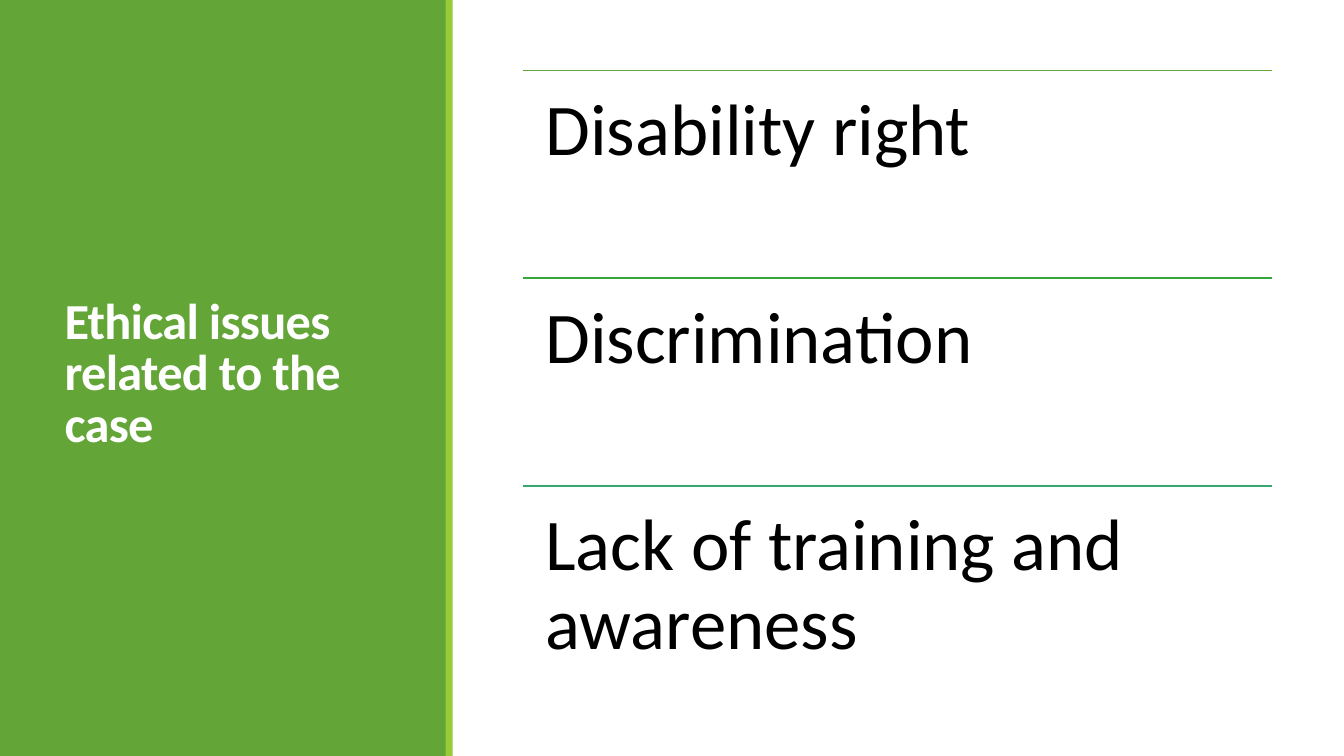
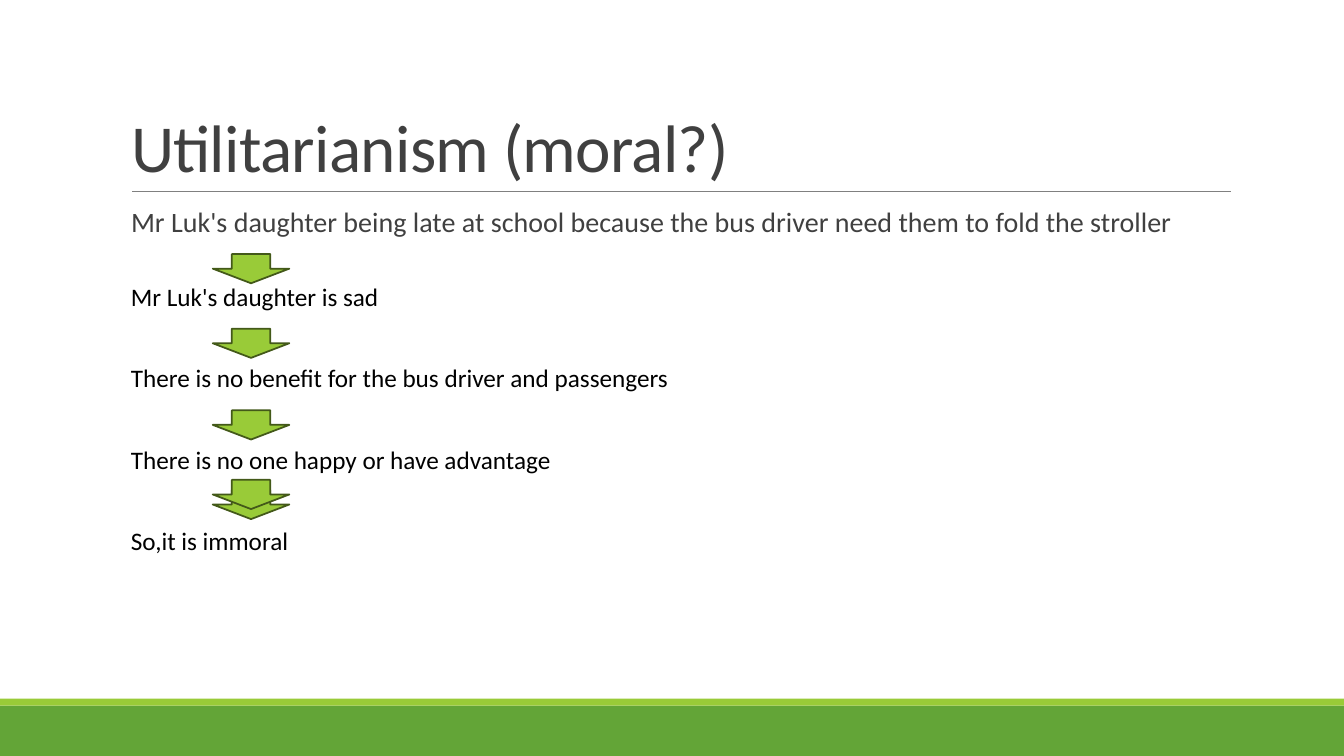
from pptx import Presentation, util as u
from pptx.dml.color import RGBColor
from pptx.enum import shapes, text
from pptx.oxml.ns import qn
from lxml import etree

GREEN, LIME, DARK_GREEN = "63A537", "99CB38", "435919"
BLACK, WHITE, TITLE_GRAY, RULE_GRAY = "000000", "FFFFFF", "404040", "808080"


def rgb(value):
    return RGBColor.from_string(value)


class Deck:
    """Holds the style and the current slide; lengths are percent of the slide."""

    FONT = "Calibri"
    TITLE_ONLY, TITLE_BODY = 5, 1

    def __init__(self):
        self.prs = Presentation()
        self.prs.slide_width = u.Inches(13.33)
        self.prs.slide_height = u.Inches(7.5)
        self.s = None

    def x(self, share):
        return int(self.prs.slide_width * share / 100)

    def y(self, share):
        return int(self.prs.slide_height * share / 100)

    def box(self, left, top, width, height):
        return self.x(left), self.y(top), self.x(width), self.y(height)

    def new_slide(self, layout):
        self.s = self.prs.slides.add_slide(self.prs.slide_layouts[layout])

    def shape(self, kind, area, fill, line=None):
        sp = self.s.shapes.add_shape(kind, *self.box(*area))
        sp.shadow.inherit = False
        sp.fill.solid()
        sp.fill.fore_color.rgb = rgb(fill)
        if line:
            sp.line.color.rgb = rgb(line)
            sp.line.width = u.Pt(1.25)
        else:
            sp.line.fill.background()
        return sp

    def bands(self, panel, stripe):
        """Green panel with a lime stripe, both behind the text."""
        for depth, (area, color) in enumerate(((panel, GREEN), (stripe, LIME))):
            sp = self.shape(shapes.MSO_SHAPE.RECTANGLE, area, color)
            self.s.shapes._spTree.insert(2 + depth, sp._element)

    def rule(self, left, right, top, color, width):
        line = self.s.shapes.add_connector(
            shapes.MSO_CONNECTOR.STRAIGHT,
            self.x(left), self.y(top), self.x(right), self.y(top))
        line.line.color.rgb = rgb(color)
        line.line.width = u.Pt(width)
        etree.SubElement(line._element.spPr, qn("a:effectLst"))

    def set_text(self, sp, words, size, color, spacing=1.0, bold=False,
                 anchor=text.MSO_ANCHOR.TOP, inset=(0.1, 0.05)):
        tf = sp.text_frame
        tf.text = words
        tf.word_wrap = True
        tf.auto_size = text.MSO_AUTO_SIZE.NONE
        tf.vertical_anchor = anchor
        tf.margin_left = tf.margin_right = u.Inches(inset[0])
        tf.margin_top = tf.margin_bottom = u.Inches(inset[1])
        p = tf.paragraphs[0]
        p.alignment = text.PP_ALIGN.LEFT
        p.line_spacing = spacing
        p.space_before = u.Pt(0)
        r = p.runs[0]
        r.font.name, r.font.size, r.font.bold = self.FONT, u.Pt(size), bold
        r.font.color.rgb = rgb(color)
        return p

    def place(self, sp, area):
        sp.left, sp.top, sp.width, sp.height = self.box(*area)

    def title(self, words, area, size, color, **style):
        sp = self.s.shapes.title
        self.place(sp, area)
        p = self.set_text(sp, words, size, color, spacing=0.85, **style)
        p.runs[0].font._element.set("spc", "-50")

    def body(self, words, area, size, color):
        sp = self.s.placeholders[1]
        self.place(sp, area)
        p = self.set_text(sp, words, size, color, spacing=0.9)
        pPr = p._p.get_or_add_pPr()
        pPr.set("marL", "0")
        pPr.set("indent", "0")
        etree.SubElement(pPr, qn("a:buNone"))

    def label(self, words, area, size, **style):
        sp = self.s.shapes.add_textbox(*self.box(*area))
        self.set_text(sp, words, size, BLACK, **style)


def issues_slide(deck):
    deck.new_slide(deck.TITLE_ONLY)
    deck.bands(panel=(0, 0, 33.2, 100), stripe=(33.15, 0, 0.53, 100))
    deck.title("Ethical issues related to the case", (4.05, 7.6, 25.28, 84.13),
               36, WHITE, bold=True, anchor=text.MSO_ANCHOR.MIDDLE)

    # Three equal rows, each under its own rule
    left, width, first, row = 38.93, 55.74, 9.33, 27.47
    issues = (("Disability right", GREEN),
              ("Discrimination", "37A63D"),
              ("Lack of training and awareness", "37A76F"))
    for i, (issue, color) in enumerate(issues):
        top = first + i * row
        deck.rule(left, left + width, top, color, 1.25)
        deck.label(issue, (left, top, width, row), 52,
                   spacing=0.9, inset=(0.22, 0.22))


def utilitarianism_slide(deck):
    deck.new_slide(deck.TITLE_BODY)
    deck.bands(panel=(0, 93.33, 100, 6.67), stripe=(0, 92.4, 100, 0.93))
    left, width = 9, 82.5
    deck.title("Utilitarianism (moral?)", (left, 4.13, width, 21.2), 48,
               TITLE_GRAY, anchor=text.MSO_ANCHOR.BOTTOM)
    deck.rule(9.83, 91.6, 25.33, RULE_GRAY, 0.5)
    deck.body("Mr Luk's daughter being late at school because the bus driver "
              "need them to fold the stroller",
              (left, 26.93, width, 14.93), 20, TITLE_GRAY)

    # Chain of consequences
    steps = ("Mr Luk's daughter is sad",
             "There is no benefit for the bus driver and passengers",
             "There is no one happy or have advantage",
             "So,it is immoral")
    for i, step in enumerate(steps):
        deck.label(step, (left, 36.53 + i * 10.77, 81, 5.33), 18)

    # Arrows between the steps; the last two overlap
    for top in (33.6, 43.47, 54.27, 64.8, 63.47):
        deck.shape(shapes.MSO_SHAPE.DOWN_ARROW, (15.83, top, 5.7, 3.87),
                   LIME, DARK_GREEN)


def main():
    deck = Deck()
    issues_slide(deck)
    utilitarianism_slide(deck)
    deck.prs.save("out.pptx")


if __name__ == "__main__":
    main()
